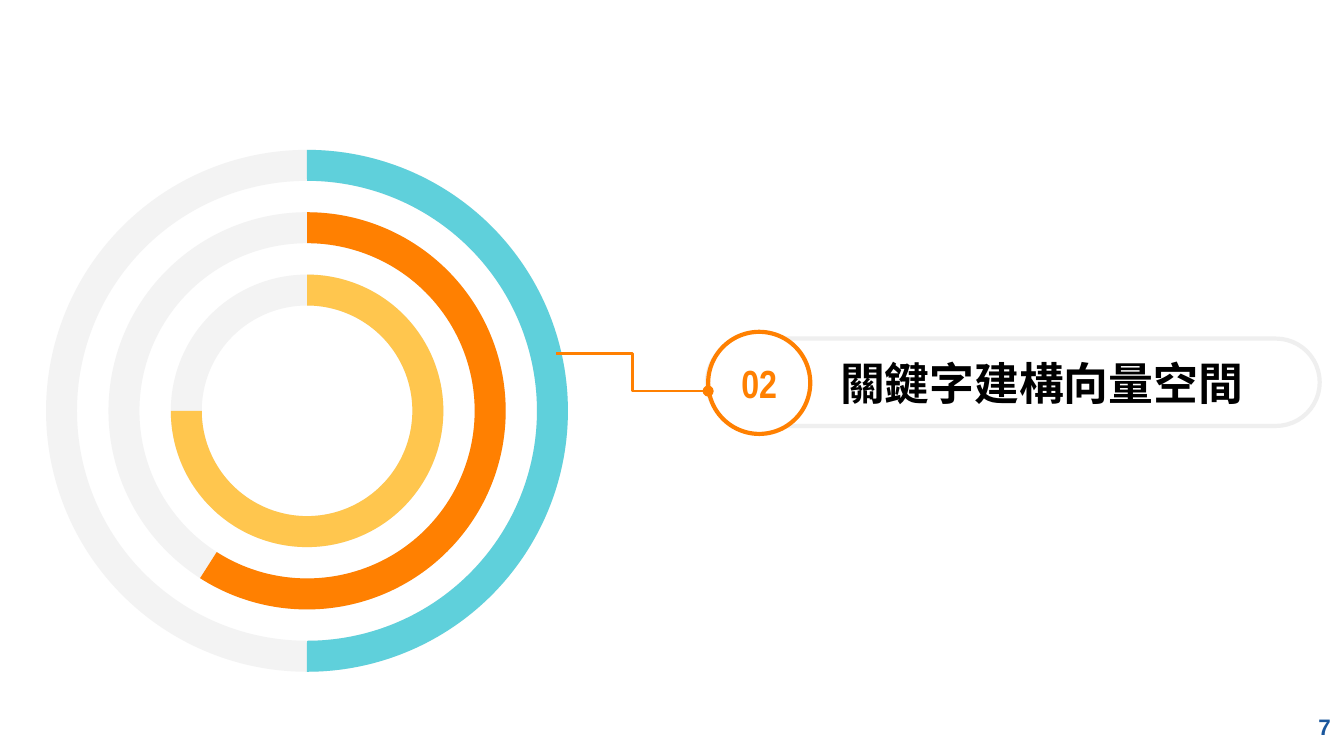
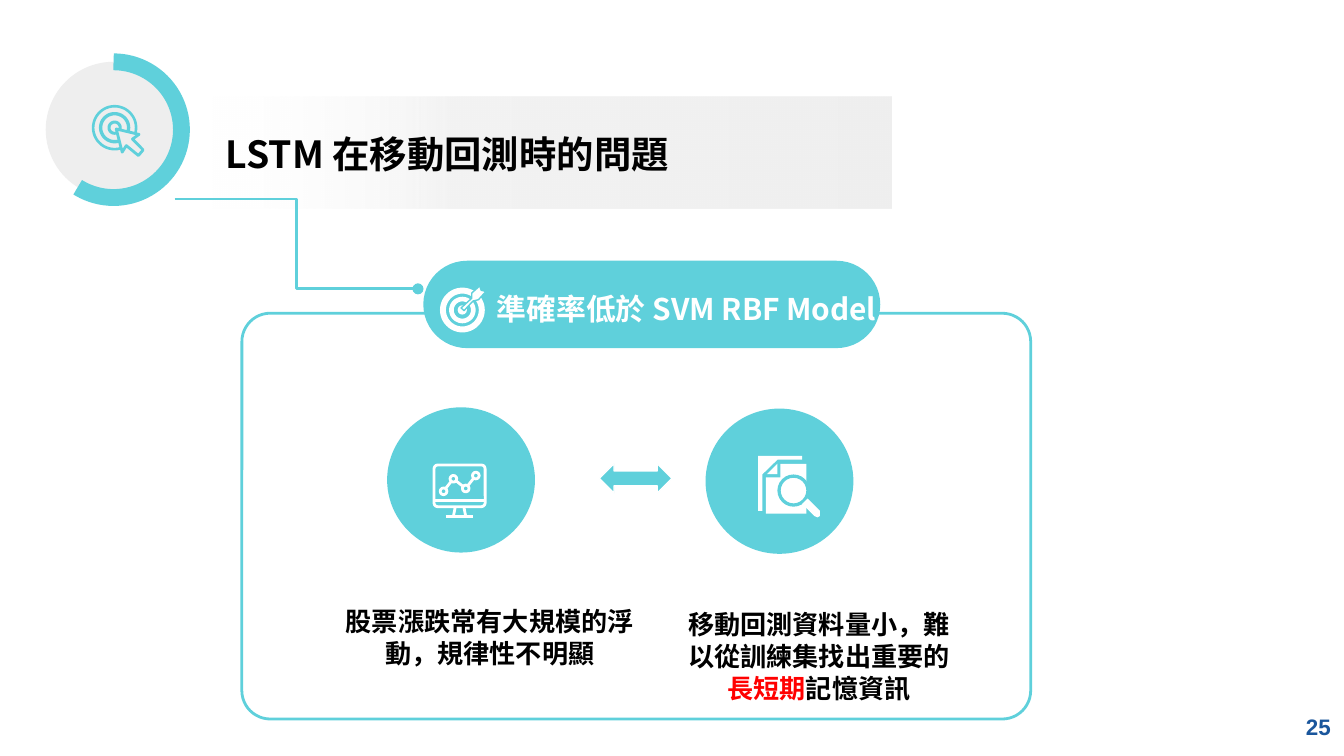
from dataclasses import dataclass
from math import cos, pi, sin

from lxml import etree
from pptx import Presentation
from pptx.dml.color import RGBColor
from pptx.enum.shapes import MSO_CONNECTOR, MSO_SHAPE
from pptx.enum.text import MSO_ANCHOR, PP_ALIGN
from pptx.oxml.ns import qn
from pptx.shapes.base import BaseShape
from pptx.slide import Slide
from pptx.util import Pt

ARC, BLOCK, DONUT = MSO_SHAPE.ARC, MSO_SHAPE.BLOCK_ARC, MSO_SHAPE.DONUT
OVAL, RECT, ROUND = MSO_SHAPE.OVAL, MSO_SHAPE.RECTANGLE, MSO_SHAPE.ROUNDED_RECTANGLE
ARROW = MSO_SHAPE.LEFT_RIGHT_ARROW
ELBOW = MSO_CONNECTOR.ELBOW
MIDDLE = MSO_ANCHOR.MIDDLE
LEFT, CENTER, RIGHT = PP_ALIGN.LEFT, PP_ALIGN.CENTER, PP_ALIGN.RIGHT

COLORS = {
    "teal": "5FD0DB", "orange": "FF8001", "yellow": "FFC64E",
    "track": "F3F3F3", "edge": "EFEFEF", "disc": "EEEEEE",
    "white": "FFFFFF", "black": "000000", "red": "FF0000", "navy": "1A569C",
}
NOTO = "Noto Sans CJK TC"
TOP = 270  # twelve o'clock, in degrees clockwise from the right

Box = tuple[float, float, float, float]
Point = tuple[float, float]


@dataclass(frozen=True)
class Style:
    size: float
    color: str = "black"
    font: str = NOTO
    align: PP_ALIGN = CENTER
    inset: Box = (7.2, 7.2, 7.2, 7.2)
    pitch: float | None = None


@dataclass(frozen=True)
class Ring:
    color: str
    end: float


@dataclass(frozen=True)
class Card:
    disc: Box
    box: Box
    text: str
    extra: tuple[tuple[str, str], ...] = ()


HEAD = Style(24, align=LEFT, inset=(43.2, 0, 14.4, 18))
BADGE = Style(21, "orange", "Arial Narrow", inset=(0, 7.2, 0, 7.2))
TITLE = Style(20, align=LEFT)
LABEL = Style(16, "white", align=RIGHT)
NOTE = Style(14, inset=(14.4, 0, 14.4, 0), pitch=17)
PAGE = Style(12, "navy", "Arial", RIGHT)

RINGS = [Ring("teal", 90), Ring("orange", 122.6), Ring("yellow", 180)]
CARDS = [
    Card((207.4, 218.2, 79.2, 77.8), (164.9, 328.3, 195.1, 25.9),
         "股票漲跌常有大規模的浮動，規律性不明顯"),
    Card((378, 218.9, 79.2, 77.8), (353.5, 338.4, 170.6, 25.9),
         "移動回測資料量小，難以從訓練集找出重要的",
         (("長短期", "red"), ("記憶資訊", "black"))),
]


def rgb(name: str) -> RGBColor:
    return RGBColor.from_string(COLORS[name])


def angle(deg: float) -> float:
    """Turn degrees into the unit of an arc's adjustment."""
    return deg * 0.6


def paint(shape: BaseShape, fill: str = "", line: str = "", width: float = 1) -> None:
    shape.shadow.inherit = False
    if fill:
        shape.fill.solid()
        shape.fill.fore_color.rgb = rgb(fill)
    else:
        shape.fill.background()
    if line:
        shape.line.color.rgb = rgb(line)
        shape.line.width = Pt(width)
    else:
        shape.line.fill.background()


def draw(slide: Slide, kind: MSO_SHAPE, box: Box, fill: str = "", line: str = "",
         width: float = 1, adj: tuple[float, ...] = ()) -> BaseShape:
    shape = slide.shapes.add_shape(kind, *map(Pt, box))
    for i, value in enumerate(adj):
        shape.adjustments[i] = value
    paint(shape, fill, line, width)
    return shape


def disc(mid: Point, r: float) -> Box:
    """Give the box around a circle."""
    return mid[0] - r, mid[1] - r, 2 * r, 2 * r


def curve(mid: Point, r: float, steps: int = 48) -> list[Point]:
    """Give the points of a circle."""
    turns = [2 * pi * i / steps for i in range(steps)]
    return [(mid[0] + r * cos(t), mid[1] + r * sin(t)) for t in turns]


def trace(slide: Slide, parts: list[list[Point]], fill: str = "", line: str = "",
          width: float = 1) -> None:
    """Draw outlines as one freeform; without a fill they stay open."""
    form = None
    for part in parts:
        first, *rest = [(Pt(x), Pt(y)) for x, y in part]
        if form is None:
            form = slide.shapes.build_freeform(*first)
        else:
            form.move_to(*first)
        form.add_line_segments(rest, close=bool(fill))
    paint(form.convert_to_shape(), fill, line, width)


def write(shape: BaseShape, text: str, style: Style,
          extra: tuple[tuple[str, str], ...] = ()) -> None:
    frame = shape.text_frame
    frame.word_wrap = True
    frame.vertical_anchor = MIDDLE
    (frame.margin_left, frame.margin_top,
     frame.margin_right, frame.margin_bottom) = map(Pt, style.inset)
    para = frame.paragraphs[0]
    para.text = text
    para.alignment = style.align
    if style.pitch:
        para.line_spacing = Pt(style.pitch)
    for more, _ in extra:
        para.add_run().text = more
    hues = [style.color] + [hue for _, hue in extra]
    for run, hue in zip(para.runs, hues):
        font = run.font
        font.name, font.size, font.bold = style.font, Pt(style.size), True
        font.color.rgb = rgb(hue)
        east = etree.SubElement(run._r.get_or_add_rPr(), qn("a:ea"))
        east.set("typeface", style.font)


def label(slide: Slide, box: Box, text: str, style: Style,
          extra: tuple[tuple[str, str], ...] = ()) -> None:
    write(slide.shapes.add_textbox(*map(Pt, box)), text, style, extra)


def link(slide: Slide, start: Point, end: Point, color: str) -> None:
    """Draw an elbow that ends in a dot."""
    wire = slide.shapes.add_connector(ELBOW, *map(Pt, (*start, *end)))
    wire.line.color.rgb = rgb(color)
    wire.line.width = Pt(1.5)
    props = wire._element.spPr
    etree.SubElement(props.find(qn("a:ln")), qn("a:tailEnd")).set("type", "oval")
    etree.SubElement(props, qn("a:effectLst"))


def fade(shape: BaseShape) -> None:
    """Fill from grey at the right to clear at the left."""
    shape.fill.gradient()
    shape.fill.gradient_angle = 180
    stops = shape._element.spPr.find(qn("a:gradFill")).find(qn("a:gsLst"))
    for old in list(stops):
        stops.remove(old)
    for pos, name in ((0, "edge"), (64, "track"), (100, "white")):
        stop = etree.SubElement(stops, qn("a:gs"), pos=str(pos * 1000))
        hue = etree.SubElement(stop, qn("a:srgbClr"), val=COLORS[name])
        if pos == 100:
            etree.SubElement(hue, qn("a:alpha"), val="0")


def start(deck: Presentation, page: int) -> Slide:
    """Add a blank slide with its page number."""
    slide = deck.slides.add_slide(deck.slide_layouts[6])
    label(slide, (676.8, 373.7, 43.2, 31), str(page), PAGE)
    return slide


def click(slide: Slide) -> None:
    mid = (61.4, 68.4)
    trace(slide, [curve(mid, r) for r in (12.2, 10.8, 8.4, 6.6, 3.8, 2.2)], "teal")
    trace(slide, [[(62.3, 69.1), (74.5, 72), (71, 74.5), (76.7, 80.3),
                   (74.2, 83.3), (67.7, 78), (65.5, 81.5)]], "disc", "teal", 1.5)


def target(slide: Slide) -> None:
    mid = (247.7, 166.1)
    trace(slide, [curve(mid, r) for r in (12, 8.8, 7.1, 4.6)], "white")
    draw(slide, OVAL, disc(mid, 2.5), "white")
    trace(slide, [[(247, 165), (252.7, 159.8), (252.7, 157), (257, 153.2),
                   (257.8, 155.5), (260.3, 156.2), (256.3, 160.6),
                   (253.4, 161.3), (248.6, 166.4)]], "white", "teal", 0.75)


def screen(slide: Slide) -> None:
    draw(slide, ROUND, (232.5, 249.1, 27.4, 22.4), "", "white", 1.5, (0.09,))
    trace(slide, [[(232.5, 268.2), (259.9, 268.2)],
                  [(243.9, 271.5), (242.9, 276.6)],
                  [(248.5, 271.5), (249.5, 276.6)],
                  [(238.8, 276.6), (253.6, 276.6)]], "", "white", 1.5)
    nodes = [(237.6, 263.2), (242.9, 256.5), (249.5, 261.7), (254.9, 254.8)]
    trace(slide, [nodes], "", "white", 1.5)
    for node in nodes:
        draw(slide, OVAL, disc(node, 1.8), "teal", "white", 1.5)


def search(slide: Slide) -> None:
    trace(slide, [
        [(406.2, 244.2), (429.8, 244.2), (429.8, 246.3), (416.5, 246.3),
         (408.4, 254.2), (408.4, 273.7), (406.2, 273.7)],
        [(418.1, 248.5), (432, 248.5), (432, 275.2), (410.3, 275.2),
         (410.3, 255.8), (418.1, 255.8)],
        [(416.5, 248.4), (416.5, 254), (411, 254)]], "white")
    draw(slide, OVAL, disc((425.1, 262.8), 7.75), "white", "teal", 1.75)
    trace(slide, [[(432.7, 267.1), (439.2, 273.6), (439.2, 276.5), (438, 277.2),
                   (436.3, 276.5), (429.8, 270)]], "white")


def divide(deck: Presentation) -> None:
    """Build the section slide."""
    slide = start(deck, 7)
    mid, band = (164.5, 220.1), 16.6
    for i, ring in enumerate(RINGS):
        r = 139.8 - 33.4 * i
        thick = band / (2 * r)
        draw(slide, DONUT, disc(mid, r), "track", adj=(thick,))
        draw(slide, BLOCK, disc(mid, r), ring.color,
             adj=(angle(TOP), angle(ring.end), thick))
    draw(slide, ROUND, (378.7, 181.4, 328.3, 46.8), "white", "edge", 2.25, (0.5,))
    badge = draw(slide, OVAL, (379.4, 177.8, 54.7, 54.7), "white", "orange", 2.25)
    write(badge, "02", BADGE)
    link(slide, (298.1, 189.4), (379.4, 209.5), "orange")
    label(slide, (406.8, 184.3, 383, 59.8), "關鍵字建構向量空間", HEAD)


def explain(deck: Presentation) -> None:
    """Build the slide on the model's problem."""
    slide = start(deck, 25)
    draw(slide, ROUND, (129.6, 167.8, 422.6, 217.4), "", "teal", 1.5, (0.07,))
    fade(draw(slide, RECT, (113.8, 51.8, 363.6, 59.8)))
    draw(slide, ROUND, (226.8, 139.7, 244.8, 46.8), "teal", adj=(0.5,))
    label(slide, (113.8, 61.9, 368.6, 41), "LSTM 在移動回測時的問題", TITLE)
    dial = (24.5, 33.1, 72.7, 72.7)
    draw(slide, OVAL, dial, "disc")
    draw(slide, ARC, dial, "", "teal", 9, (angle(TOP), angle(121.9)))
    click(slide)
    link(slide, (93.6, 106.6), (223.9, 154.8), "teal")
    label(slide, (244.1, 154.1, 232.6, 22.3), "準確率低於 SVM RBF Model", LABEL)
    target(slide)
    for card, icon in zip(CARDS, (screen, search)):
        draw(slide, OVAL, card.disc, "teal")
        icon(slide)
        label(slide, card.box, card.text, NOTE, card.extra)
    draw(slide, ARROW, (321.1, 248.4, 38.9, 15.8), "teal", "white", 0.75, (0.5, 0.5))


def main() -> None:
    deck = Presentation()
    deck.slide_width, deck.slide_height = Pt(720), Pt(405)
    divide(deck)
    explain(deck)
    deck.save("out.pptx")


if __name__ == "__main__":
    main()
